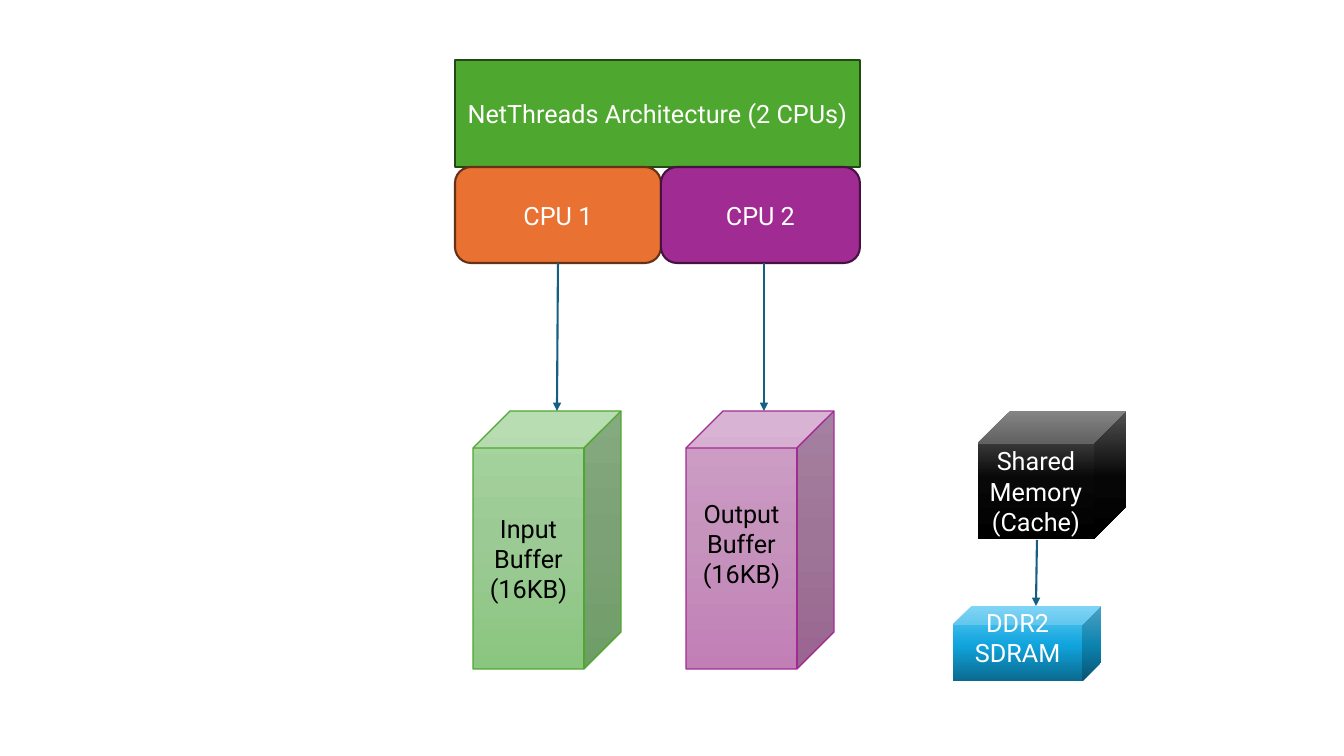
"""Build a slide of a two-CPU architecture with its buffers and memories."""
import copy

import pptx
import pptx.dml.color
import pptx.enum.shapes
import pptx.enum.text
import pptx.oxml
import pptx.oxml.ns
import pptx.util

COLORS = {
    "white": "FFFFFF", "black": "000000", "arrow": "156082",
    "green": "4EA72E", "green edge": "224914",
    "orange": "E97132", "orange edge": "663216",
    "purple": "A02B93", "purple edge": "461340",
    "green top": "A8D5A0", "green middle": "9CCA94", "green bottom": "8AC680",
    "purple top": "D0A0C8", "purple middle": "C693BD", "purple bottom": "C17FB6",
    "black top": "666666", "black middle": "080808", "black bottom": "000000",
    "blue top": "61CBF4", "blue middle": "10A4DD", "blue bottom": "0A6A8F",
}
PAGE = (1344, 756)
SCALE = 12192000 / PAGE[0]
LINE_HEIGHT = 30
CUBE_TOP, CUBE_WIDTH = 411, 148
BLOCKS = [
    ("NetThreads Architecture (2 CPUs)", "RECTANGLE", (455, 60, 405, 107), "green"),
    ("CPU 1", "ROUNDED_RECTANGLE", (455, 167, 206, 96), "orange"),
    ("CPU 2", "ROUNDED_RECTANGLE", (661, 167, 199, 96), "purple"),
]
CUBES = [
    ("Input\nBuffer\n(16KB)", (473, CUBE_TOP, 258), "green", 50,
     {"edge": "green", "color": "black"}),
    ("Output\nBuffer\n(16KB)", (686, CUBE_TOP, 258), "purple", 50,
     {"edge": "purple", "color": "black", "raise_by": LINE_HEIGHT}),
    ("Shared Memory\n(Cache)", (978, CUBE_TOP, 128), "black", 52, {}),
    ("DDR2 SDRAM", (953, 606, 75), "blue", 52, {"raise_by": LINE_HEIGHT}),
]
ARROWS = [
    ((558, 263), (557, CUBE_TOP), "CPU 1"),
    ((764, 263), (764, CUBE_TOP), None),
    ((1037, 540), (1036, 606), None),
]


def px(length):
    return pptx.util.Emu(round(length * SCALE))


def rgb(name):
    return pptx.dml.color.RGBColor.from_string(COLORS[name])


def write(shape, text, color="white", raise_by=0):
    frame = shape.text_frame
    frame.word_wrap = True
    frame.vertical_anchor = pptx.enum.text.MSO_ANCHOR.MIDDLE
    frame.margin_bottom += px(raise_by)
    frame.text = text
    for para in frame.paragraphs:
        para.alignment = pptx.enum.text.PP_ALIGN.CENTER
        for span in para.runs:
            span.font.name = "Roboto"
            span.font.size = pptx.util.Pt(18)
            span.font.color.rgb = rgb(color)


def add_shape(page, kind, box, edge=None, width=1.5):
    preset = pptx.enum.shapes.MSO_SHAPE[kind]
    shape = page.shapes.add_shape(preset, *map(px, box))
    shape.shadow.inherit = False
    if edge:
        shape.line.color.rgb = rgb(edge)
        shape.line.width = pptx.util.Pt(width)
    else:
        shape.line.fill.background()
    return shape


def fill_downward(shape, hue, middle):
    shape.fill.gradient()
    shape.fill.gradient_angle = 270
    first = shape._element.spPr.find(".//" + pptx.oxml.ns.qn("a:gs"))
    first.addnext(copy.deepcopy(first))
    parts = zip(("top", "middle", "bottom"), (0, middle / 100, 1))
    for stop, (part, position) in zip(shape.fill.gradient_stops, parts):
        stop.color.rgb = rgb(f"{hue} {part}")
        stop.position = position


def add_arrow(page, start, end, source=None):
    arrow = page.shapes.add_connector(
        pptx.enum.shapes.MSO_CONNECTOR.STRAIGHT, *map(px, start + end))
    if source is not None:
        arrow.begin_connect(source, 2)
    arrow.line.color.rgb = rgb("arrow")
    arrow.line.width = pptx.util.Pt(1.5)
    head = pptx.oxml.parse_xml(
        f'<a:tailEnd {pptx.oxml.ns.nsdecls("a")} type="triangle"/>')
    arrow.line._get_or_add_ln().append(head)
    arrow._element.spPr.append(
        pptx.oxml.parse_xml(f'<a:effectLst {pptx.oxml.ns.nsdecls("a")}/>'))


def main():
    deck = pptx.Presentation()
    deck.slide_width, deck.slide_height = map(px, PAGE)
    page = deck.slides.add_slide(deck.slide_layouts[6])
    blocks = {}
    for text, kind, box, hue in BLOCKS:
        block = add_shape(page, kind, box, edge=f"{hue} edge")
        block.fill.solid()
        block.fill.fore_color.rgb = rgb(hue)
        write(block, text)
        blocks[text] = block
    for text, (left, top, height), hue, middle, style in CUBES:
        cube = add_shape(page, "CUBE", (left, top, CUBE_WIDTH, height),
                         edge=style.get("edge"), width=1)
        fill_downward(cube, hue, middle)
        write(cube, text, color=style.get("color", "white"),
              raise_by=style.get("raise_by", 0))
    for start, end, source in ARROWS:
        add_arrow(page, start, end, source=blocks.get(source))
    deck.save("out.pptx")


if __name__ == "__main__":
    main()
